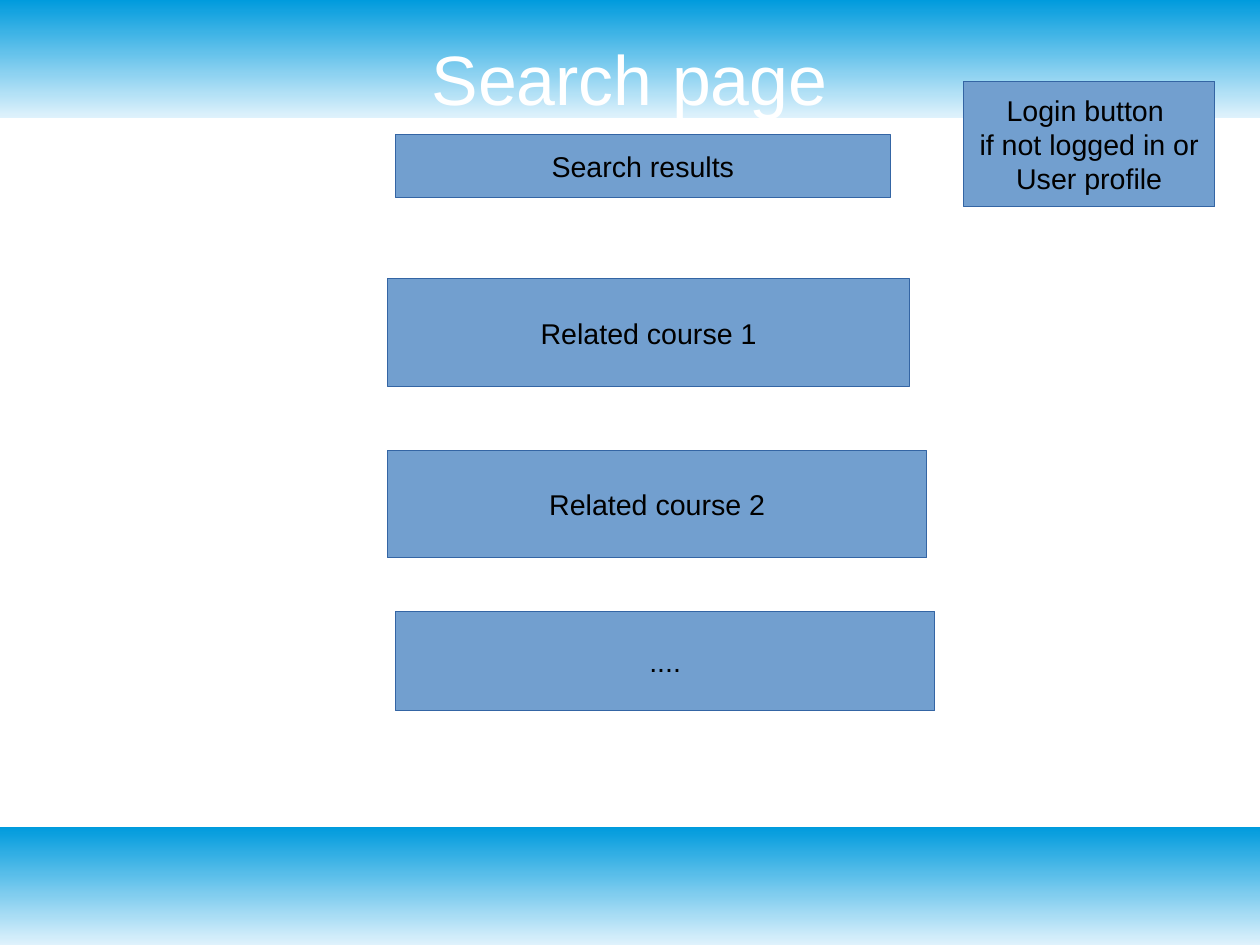
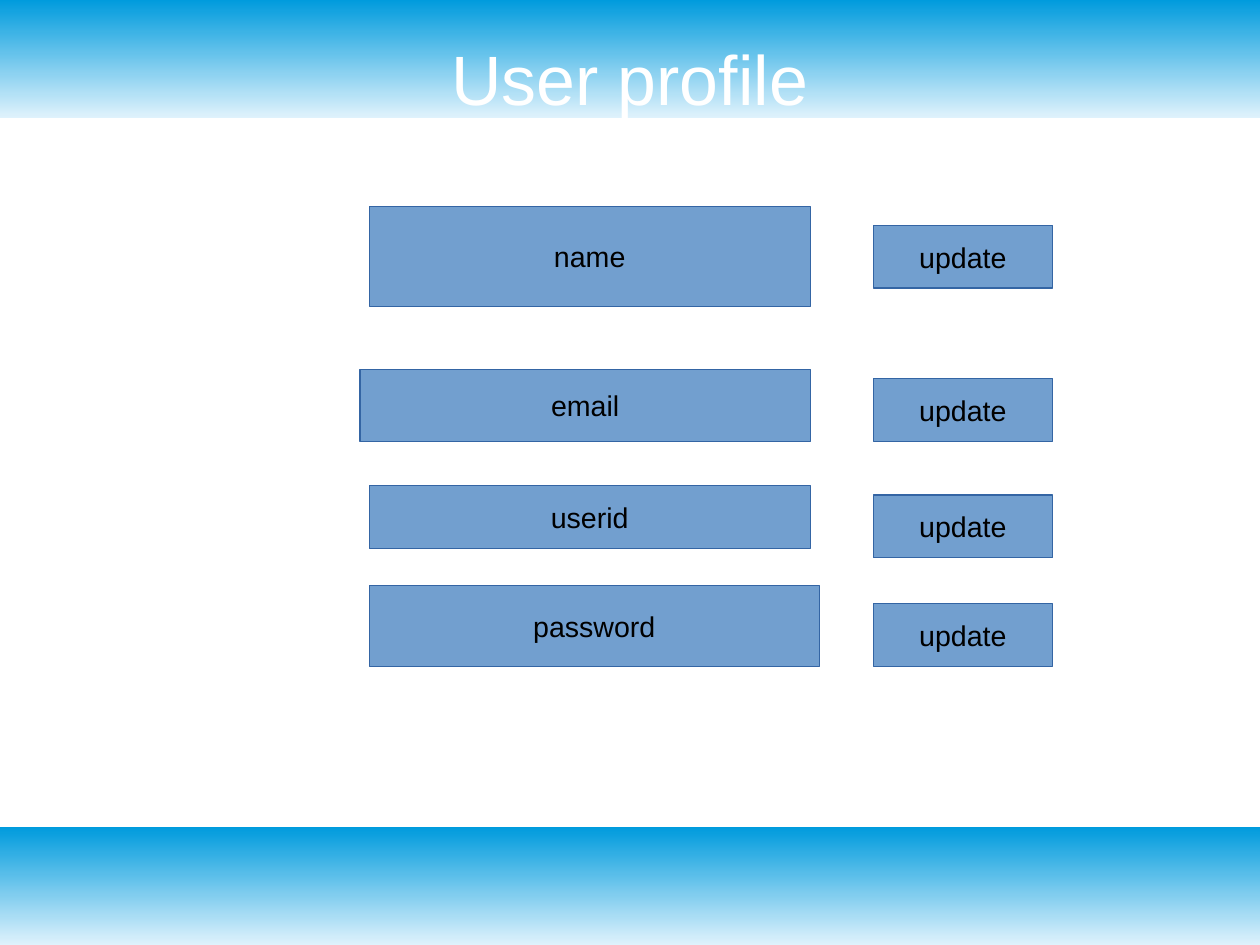
"""Build the wireframe slides for the search page and the user profile."""
import pptx
import pptx.dml.color
import pptx.enum.shapes
import pptx.enum.text
import pptx.util

RGBColor = pptx.dml.color.RGBColor
Inches = pptx.util.Inches

WIDTH, HEIGHT = pptx.util.Emu(10080625), pptx.util.Emu(7559675)
BAND = Inches(1.03)
WHITE = RGBColor(0xFF, 0xFF, 0xFF)
BLACK = RGBColor(0x00, 0x00, 0x00)
PALE = RGBColor(0xDF, 0xF2, 0xFC)
SKY = RGBColor(0x00, 0x9B, 0xDD)
BLUE = RGBColor(0x72, 0x9F, 0xCF)
NAVY = RGBColor(0x34, 0x65, 0xA4)

TITLE = (0.55, 0.33, 9.92, 0.7)
HEAD_FONT = {"name": "Arial", "size": pptx.util.Pt(44)}
BODY_FONT = {"name": "Arial", "size": pptx.util.Pt(18)}
FRAME = {
    "word_wrap": False,
    "vertical_anchor": pptx.enum.text.MSO_ANCHOR.MIDDLE,
}
TIGHT = dict.fromkeys(
    ("margin_left", "margin_right", "margin_top", "margin_bottom"), 0)

SEARCH = [
    ("Search results", 3.46, 1.18, 4.33, 0.55),
    ("Related course 1", 3.39, 2.44, 4.57, 0.94),
    ("Related course 2", 3.39, 3.94, 4.72, 0.94),
    ("....", 3.46, 5.35, 4.72, 0.87),
    ("Login button \nif not logged in or\nUser profile", 8.43, 0.71, 2.2, 1.1),
]
FIELDS = [
    ("email", 3.15, 3.23, 3.94, 0.63),
    ("userid", 3.23, 4.25, 3.86, 0.55),
    ("password", 3.23, 5.12, 3.94, 0.71),
    ("name", 3.23, 1.81, 3.86, 0.87),
]
BUTTONS = [("update", 7.64, top, 1.57, 0.55)
           for top in (1.97, 3.31, 4.33, 5.28)]
PAGES = [("Search page", SEARCH), ("User profile", FIELDS + BUTTONS)]


def apply(target, values):
    for key, value in values.items():
        setattr(target, key, value)


def write(shape, text, font, color, frame):
    apply(shape.text_frame, frame)
    shape.text_frame.text = text
    for para in shape.text_frame.paragraphs:
        para.alignment = pptx.enum.text.PP_ALIGN.CENTER
        apply(para.font, font)
        para.font.color.rgb = color


def add_rect(slide, *place):
    shape = slide.shapes.add_shape(
        pptx.enum.shapes.MSO_SHAPE.RECTANGLE, *place)
    shape.shadow.inherit = False
    return shape


def add_band(slide, top):
    band = add_rect(slide, 0, top, WIDTH, BAND)
    band.line.fill.background()
    band.fill.gradient()
    band.fill.gradient_angle = 90
    for stop, color in zip(band.fill.gradient_stops, (PALE, SKY)):
        stop.color.rgb = color


def add_box(slide, text, *place):
    box = add_rect(slide, *map(Inches, place))
    box.fill.solid()
    box.fill.fore_color.rgb = BLUE
    box.line.color.rgb = NAVY
    box.line.width = 0
    write(box, text, BODY_FONT, BLACK, FRAME)


def add_page(deck, title, boxes):
    slide = deck.slides.add_slide(deck.slide_layouts[6])
    for top in (0, HEIGHT - BAND):
        add_band(slide, top)
    head = slide.shapes.add_textbox(*map(Inches, TITLE))
    write(head, title, HEAD_FONT, WHITE, {**FRAME, **TIGHT, "word_wrap": True})
    for box in boxes:
        add_box(slide, *box)


def main():
    deck = pptx.Presentation()
    deck.slide_width, deck.slide_height = WIDTH, HEIGHT
    for title, boxes in PAGES:
        add_page(deck, title, boxes)
    deck.save("out.pptx")


if __name__ == "__main__":
    main()
